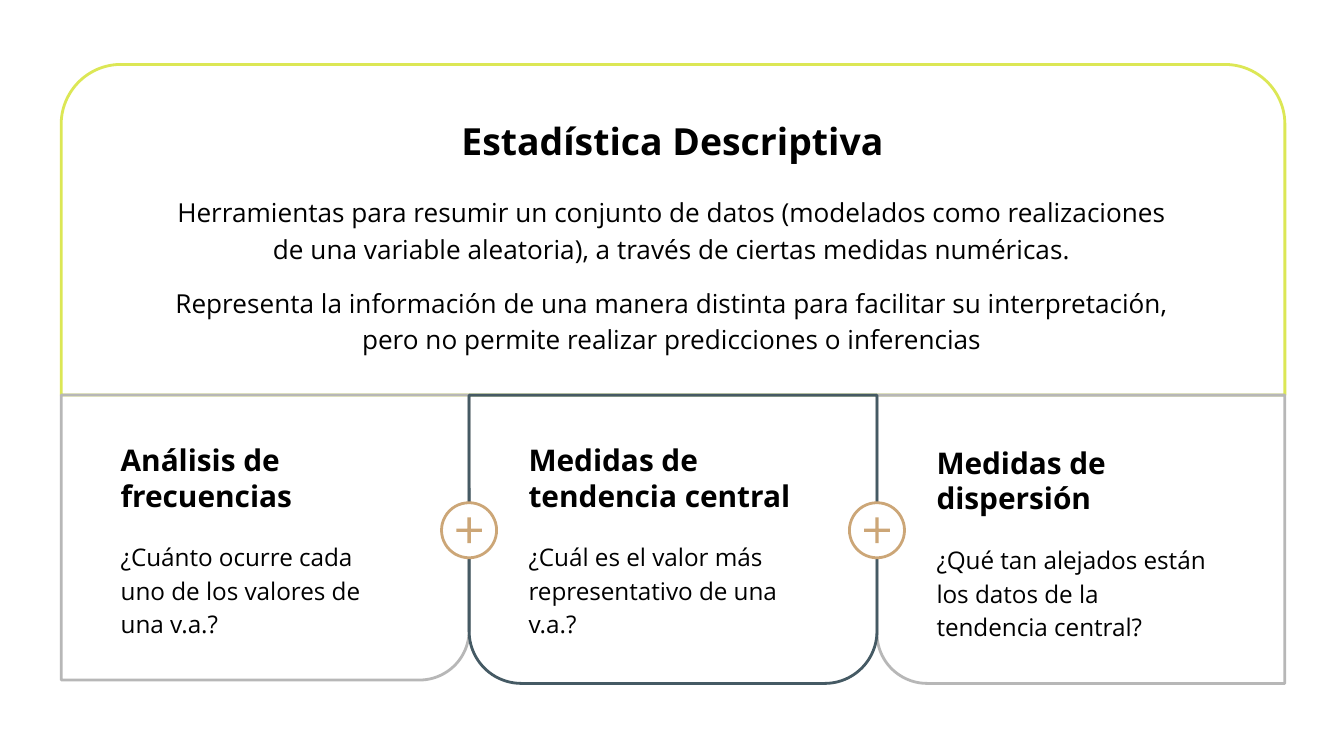
from dataclasses import dataclass

from lxml import etree
from pptx import Presentation
from pptx.dml.color import RGBColor
from pptx.enum.shapes import MSO_SHAPE
from pptx.enum.text import MSO_ANCHOR, MSO_AUTO_SIZE, PP_ALIGN
from pptx.oxml.ns import qn
from pptx.util import Emu, Pt

ONE_ROUND = MSO_SHAPE.ROUND_1_RECTANGLE
TWO_ROUND = MSO_SHAPE.ROUND_2_SAME_RECTANGLE
CIRCLE = MSO_SHAPE.OVAL
PLUS = MSO_SHAPE.MATH_PLUS
CENTER = PP_ALIGN.CENTER
LEFT = PP_ALIGN.LEFT
TOP = MSO_ANCHOR.TOP
NO_AUTOFIT = MSO_AUTO_SIZE.NONE

EMU_PER_PX = 4572  # 200 px to the inch
SLIDE_WIDTH, SLIDE_HEIGHT = 2000, 1125


@dataclass(frozen=True)
class Theme:
    font: str = "Open Sans"
    text: str = "000000"
    paper: str = "FFFFFF"
    lime: str = "DCE755"
    grey: str = "B7B7B7"
    slate: str = "455A64"
    tan: str = "CCA677"
    title_size: int = 20
    heading_size: int = 16
    intro_size: int = 14
    question_size: int = 13
    outline: float = 1.5
    line_spacing: float = 1.15


THEME = Theme()

# Column grid
GRID_LEFT, GRID_TOP, COLUMN_WIDTH = 91, 588, 607
TEXT_INDENT, TEXT_WIDTH, HEADING_HEIGHT, QUESTION_HEIGHT = 69, 454, 144, 160
TEXT_MARGIN = 20
MIDDLE = 1

# Heading, question, panel height, text top
COLUMNS = [
    ("Análisis de frecuencias",
     "¿Cuánto ocurre cada uno de los valores de una v.a.?", 424, 637),
    ("Medidas de tendencia central",
     "¿Cuál es el valor más representativo de una v.a.?", 429, 637),
    ("Medidas de dispersión",
     "¿Qué tan alejados están los datos de la tendencia central?", 429, 641),
]
INTRO = [
    "Herramientas para resumir un conjunto de datos (modelados como realizaciones "
    "de una variable aleatoria), a través de ciertas medidas numéricas.",
    "Representa la información de una manera distinta para facilitar su "
    "interpretación, pero no permite realizar predicciones o inferencias",
]


def px(value):
    return Emu(value * EMU_PER_PX)


def color(value):
    return RGBColor.from_string(value)


def column_left(index):
    return GRID_LEFT + index * COLUMN_WIDTH


def add_figure(slide, kind, box, fill=None, line=None, adjustments=(), rotation=0):
    shape = slide.shapes.add_shape(kind, *map(px, box))
    shape.shadow.inherit = False
    shape.rotation = rotation
    for index, value in enumerate(adjustments):
        shape.adjustments[index] = value
    if fill:
        shape.fill.solid()
        shape.fill.fore_color.rgb = color(fill)
    else:
        shape.fill.background()
    if line:
        shape.line.color.rgb = color(line)
        shape.line.width = Pt(THEME.outline)
    else:
        shape.line.fill.background()
    return shape


def fill_text(shape, texts, size, bold=False, align=LEFT, spacing=1.0):
    """Write the texts as paragraphs from the top of the shape."""
    frame = shape.text_frame
    frame.word_wrap = True
    frame.auto_size = NO_AUTOFIT
    frame.vertical_anchor = TOP
    frame.margin_left = frame.margin_right = px(TEXT_MARGIN)
    frame.margin_top = frame.margin_bottom = px(TEXT_MARGIN)
    for index, text in enumerate(texts):
        paragraph = frame.add_paragraph() if index else frame.paragraphs[0]
        paragraph.text = text
        paragraph.alignment = align
        paragraph.line_spacing = spacing
        paragraph.space_before = paragraph.space_after = Pt(0)
        font = paragraph.font
        font.name, font.size, font.bold = THEME.font, Pt(size), bold
        font.color.rgb = color(THEME.text)
    return frame.paragraphs


def place(shape, box):
    shape.left, shape.top, shape.width, shape.height = map(px, box)


def remove_bullet(paragraph):
    properties = paragraph._p.get_or_add_pPr()
    properties.set("marL", "0")
    properties.set("indent", "0")
    etree.SubElement(properties, qn("a:buNone"))


def add_introduction(slide):
    add_figure(slide, TWO_ROUND, (GRID_LEFT, 96, len(COLUMNS) * COLUMN_WIDTH, 492),
               line=THEME.lime, adjustments=(0.181, 0))
    title, body = slide.shapes.title, slide.placeholders[1]
    place(title, (379, 156, 1244, 110))
    fill_text(title, ["Estadística Descriptiva"], THEME.title_size,
              bold=True, align=CENTER)
    place(body, (222, 266, 1556, 292))
    paragraphs = fill_text(body, INTRO, THEME.intro_size, align=CENTER,
                           spacing=THEME.line_spacing)
    paragraphs[-1].space_before = paragraphs[-1].space_after = Pt(10)
    for paragraph in paragraphs:
        remove_bullet(paragraph)


def add_panel(slide, index):
    """Outline a column, rounded at the bottom where it meets another."""
    box = (column_left(index), GRID_TOP, COLUMN_WIDTH, COLUMNS[index][2])
    if index == MIDDLE:
        add_figure(slide, TWO_ROUND, box, line=THEME.slate,
                   adjustments=(0.181, 0), rotation=180)
        return
    panel = add_figure(slide, ONE_ROUND, box, line=THEME.grey,
                       adjustments=(0.174,), rotation=180)
    if index < MIDDLE:
        panel._element.spPr.xfrm.set("flipH", "1")


def add_column_text(slide, index):
    heading, question, _, top = COLUMNS[index]
    left = column_left(index) + TEXT_INDENT
    heading_box = slide.shapes.add_textbox(
        *map(px, (left, top, TEXT_WIDTH, HEADING_HEIGHT)))
    fill_text(heading_box, [heading], THEME.heading_size, bold=True)
    question_box = slide.shapes.add_textbox(
        *map(px, (left, top + HEADING_HEIGHT, TEXT_WIDTH, QUESTION_HEIGHT)))
    paragraphs = fill_text(question_box, [question], THEME.question_size,
                           spacing=THEME.line_spacing)
    paragraphs[0].space_after = Pt(16)


def add_plus_badge(slide, left, top):
    add_figure(slide, CIRCLE, (left, top, 82, 82), fill=THEME.paper,
               line=THEME.tan, rotation=180)
    add_figure(slide, PLUS, (left + 15, top + 15, 52, 52), fill=THEME.tan,
               adjustments=(0.099,), rotation=180)


def main():
    presentation = Presentation()
    presentation.slide_width = px(SLIDE_WIDTH)
    presentation.slide_height = px(SLIDE_HEIGHT)
    slide = presentation.slides.add_slide(presentation.slide_layouts[1])

    add_introduction(slide)

    # The middle panel lies over its neighbours
    for index in (2, 0, MIDDLE):
        add_panel(slide, index)
    for index in range(len(COLUMNS)):
        add_column_text(slide, index)

    # Badges on the seams between columns
    for index in range(1, len(COLUMNS)):
        add_plus_badge(slide, column_left(index) - 41, 748)

    presentation.save("out.pptx")


if __name__ == "__main__":
    main()
